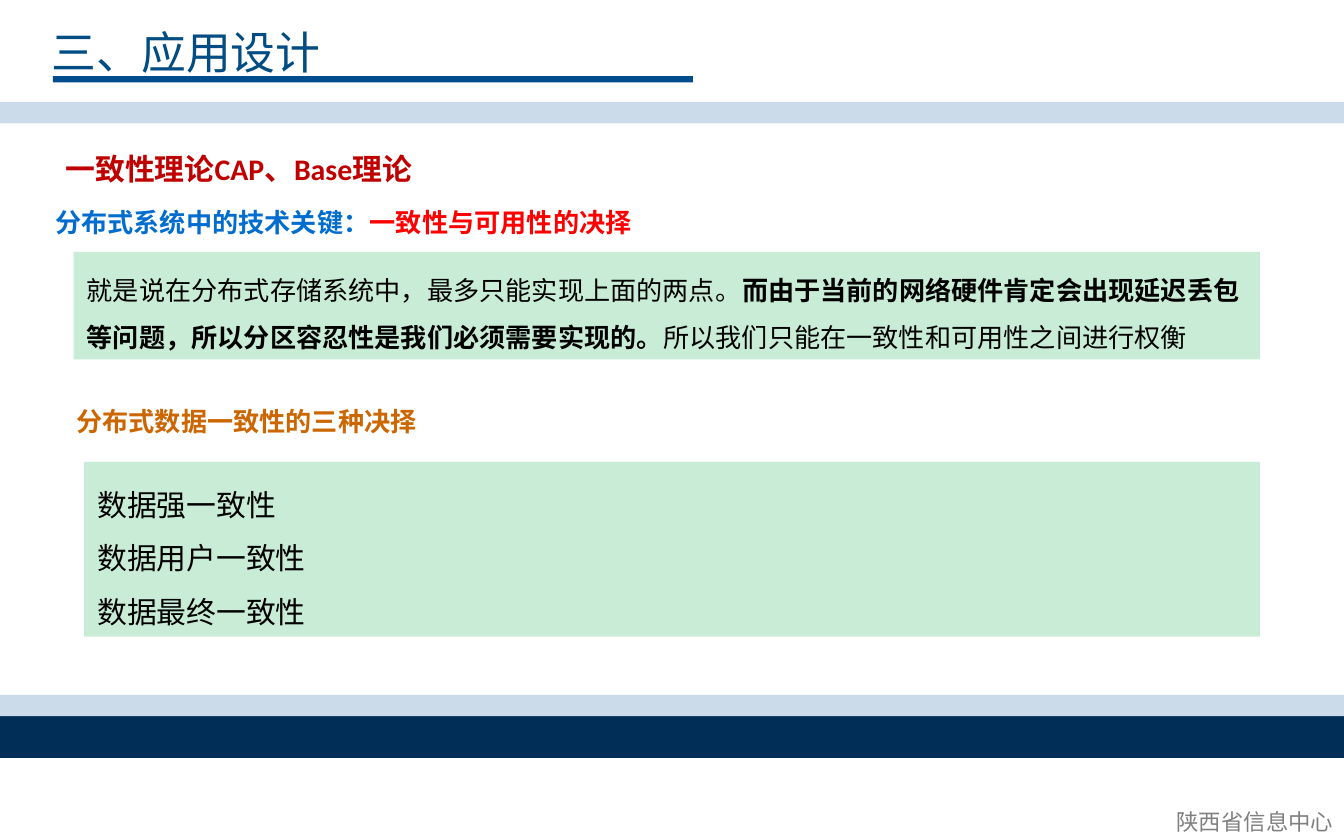
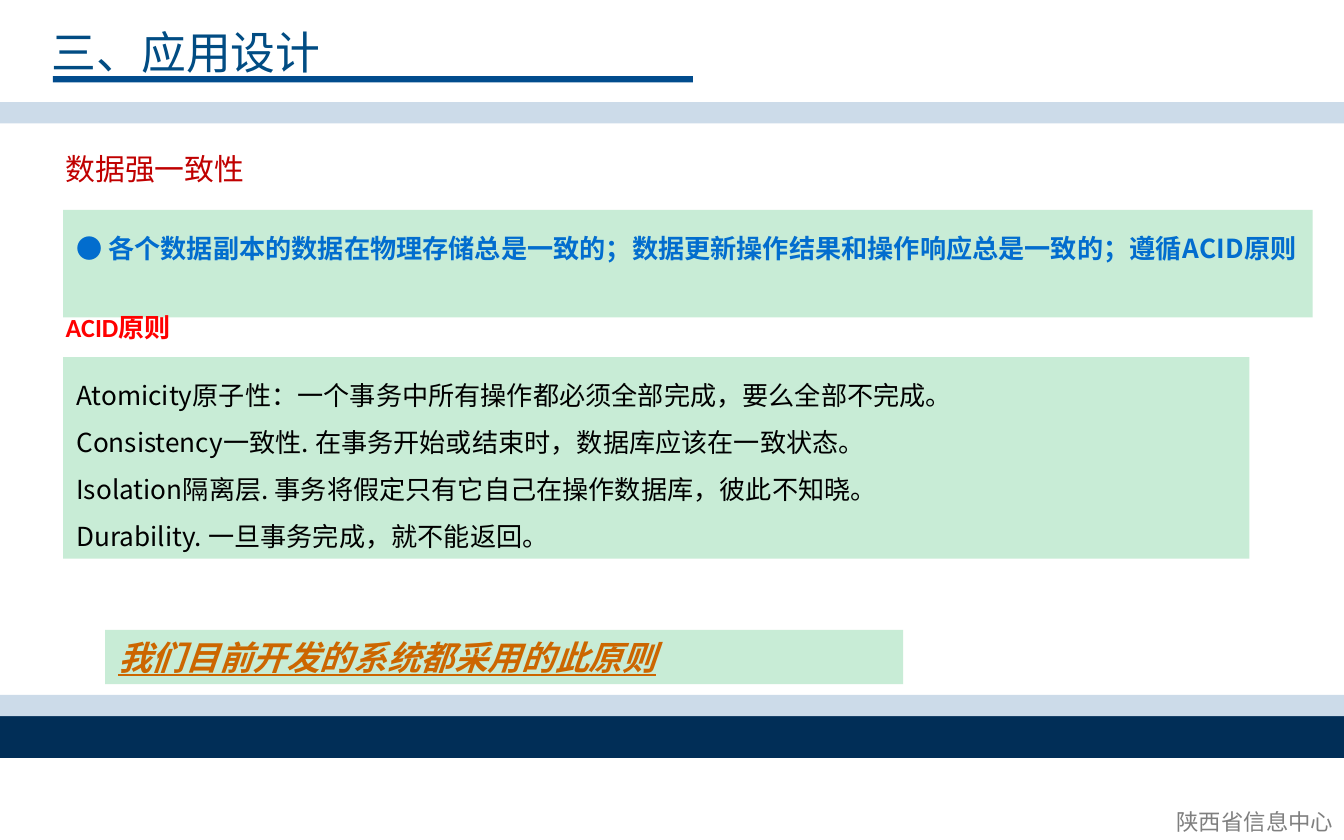
from lxml import etree
from pptx import Presentation
from pptx.dml.color import RGBColor
from pptx.enum.shapes import MSO_SHAPE
from pptx.enum.text import MSO_ANCHOR, MSO_AUTO_SIZE, PP_ALIGN
from pptx.oxml.ns import qn
from pptx.util import Pt

RECTANGLE = MSO_SHAPE.RECTANGLE
TOP = MSO_ANCHOR.TOP
GROW = MSO_AUTO_SIZE.SHAPE_TO_FIT_TEXT
LEFT, RIGHT = PP_ALIGN.LEFT, PP_ALIGN.RIGHT

SANS, LATIN = "Noto Sans CJK SC", "Calibri"
WIDTH, HEIGHT = 720, 450
PALE_BLUE, NAVY, RULE_BLUE, TITLE_BLUE = "CCDBE9", "012E57", "014C8D", "014C83"
MINT, BLACK, GREY = "C8ECD6", "000000", "7F7F7F"
DARK_RED, RED, BLUE, ORANGE = "C00000", "FF0000", "026DCE", "CC6600"

TITLE = {"name": SANS, "size": Pt(24), "color": TITLE_BLUE}
FOOTER = {"name": SANS, "size": Pt(12), "color": GREY}
HEADING = {"name": LATIN, "size": Pt(16), "color": DARK_RED}
LABEL = {"name": LATIN, "size": Pt(14), "bold": True}
BODY = {"name": SANS, "size": Pt(14), "color": BLACK}


def rgb(hex_color):
    return RGBColor.from_string(hex_color)


def format_run(run, style):
    for key, value in style.items():
        if key == "color":
            run.font.color.rgb = rgb(value)
        else:
            setattr(run.font, key, value)
    east_asian = etree.SubElement(run._r.get_or_add_rPr(), qn("a:ea"))
    east_asian.set("typeface", SANS)


def write(shape, paragraphs, spacing=None, align=LEFT, wrap=True):
    """Fill a shape with paragraphs, each a list of (text, style) runs."""
    frame = shape.text_frame
    for key, value in {"word_wrap": wrap, "auto_size": GROW,
                       "vertical_anchor": TOP}.items():
        setattr(frame, key, value)
    for index, runs in enumerate(paragraphs):
        paragraph = frame.add_paragraph() if index else frame.paragraphs[0]
        paragraph.alignment = align
        paragraph.line_spacing = spacing
        for text, style in runs:
            for number, line in enumerate(text.split("\n")):
                if number:
                    paragraph.add_line_break()
                run = paragraph.add_run()
                run.text = line
                format_run(run, style)


def add_box(slide, left, top, width, height, color):
    shape = slide.shapes.add_shape(RECTANGLE, Pt(left), Pt(top), Pt(width), Pt(height))
    shape.shadow.inherit = False
    shape.fill.solid()
    shape.fill.fore_color.rgb = rgb(color)
    shape.line.fill.background()
    return shape


def add_text(slide, left, top, width, height, runs, **layout):
    box = slide.shapes.add_textbox(Pt(left), Pt(top), Pt(width), Pt(height))
    write(box, [runs], **layout)


def add_panel(slide, left, top, width, height, paragraphs, spacing=1.5):
    write(add_box(slide, left, top, width, height, MINT), paragraphs, spacing)


def add_label(slide, left, top, *runs):
    add_text(slide, left, top, 422, 24.2,
             [(text, {**LABEL, "color": color}) for text, color in runs])


def add_framed_slide(presentation, heading, bold=False):
    """Add a slide with the shared title, bands, footer and a red heading."""
    slide = presentation.slides.add_slide(presentation.slide_layouts[6])
    add_box(slide, 0, 383.6, WIDTH, 22.5, NAVY)
    add_box(slide, 28.3, 40.8, 342.9, 3.4, RULE_BLUE)
    add_text(slide, 20.6, 9.7, 158.8, 36.3, [("三、应用设计", TITLE)], wrap=False)
    add_text(slide, 621.4, 429.3, 100, 21.8, [("陕西省信息中心", FOOTER)],
             align=RIGHT, wrap=False)
    for top in (372.3, 54.8):
        add_box(slide, 0, top, WIDTH, 11.4, PALE_BLUE)
    add_text(slide, 28.1, 67.5, 399.6, 36, [(heading, {**HEADING, "bold": bold})],
             spacing=1.5)
    return slide


def add_theory_slide(presentation):
    slide = add_framed_slide(presentation, "一致性理论CAP、Base理论", bold=True)
    add_label(slide, 22.5, 107, ("分布式系统中的技术关键：", BLUE),
              ("一致性与可用性的决择", RED))
    plain = {**BODY, "name": LATIN}
    add_panel(slide, 39.4, 135, 635.6, 57.6, [[
        ("就是说在分布式存储系统中，最多只能实现上面的两点。", plain),
        ("而由于当前的网络硬件肯定会出现延迟丢包等问题，"
         "所以分区容忍性是我们必须需要实现的。", {**plain, "bold": True}),
        ("所以我们只能在一致性和可用性之间进行权衡", plain),
    ]])
    add_label(slide, 33.8, 213.8, ("分布式数据一致性的三种决择", ORANGE))
    choices = ("数据强一致性", "数据用户一致性", "数据最终一致性")
    add_panel(slide, 45, 247.5, 630, 93.6,
              [[(choice, {**BODY, "size": Pt(16)})] for choice in choices])


def add_strong_consistency_slide(presentation):
    slide = add_framed_slide(presentation, "数据强一致性")
    add_panel(slide, 33.8, 112.5, 669.4, 57.6, [[
        ("● 各个数据副本的数据在物理存储总是一致的；"
         "数据更新操作结果和操作响应总是一致的；遵循ACID原则",
         {**BODY, "color": BLUE, "bold": True}),
    ]])
    add_label(slide, 28.1, 163.4, ("ACID原则", RED))
    add_panel(slide, 33.8, 191.3, 635.6, 108, [[
        ("Atomicity原子性：一个事务中所有操作都必须全部完成，要么全部不完成。\n"
         "Consistency一致性. 在事务开始或结束时，数据库应该在一致状态。\n"
         "Isolation隔离层. 事务将假定只有它自己在操作数据库，彼此不知晓。\n"
         "Durability. 一旦事务完成，就不能返回。", BODY),
    ]])
    emphasis = {**LABEL, "size": Pt(18), "color": ORANGE, "italic": True,
                "underline": True}
    add_panel(slide, 56.3, 337.5, 427.5, 29,
              [[("我们目前开发的系统都采用的此原则", emphasis)]], spacing=None)


def main():
    presentation = Presentation()
    presentation.slide_width, presentation.slide_height = Pt(WIDTH), Pt(HEIGHT)
    add_theory_slide(presentation)
    add_strong_consistency_slide(presentation)
    presentation.save("out.pptx")


if __name__ == "__main__":
    main()
